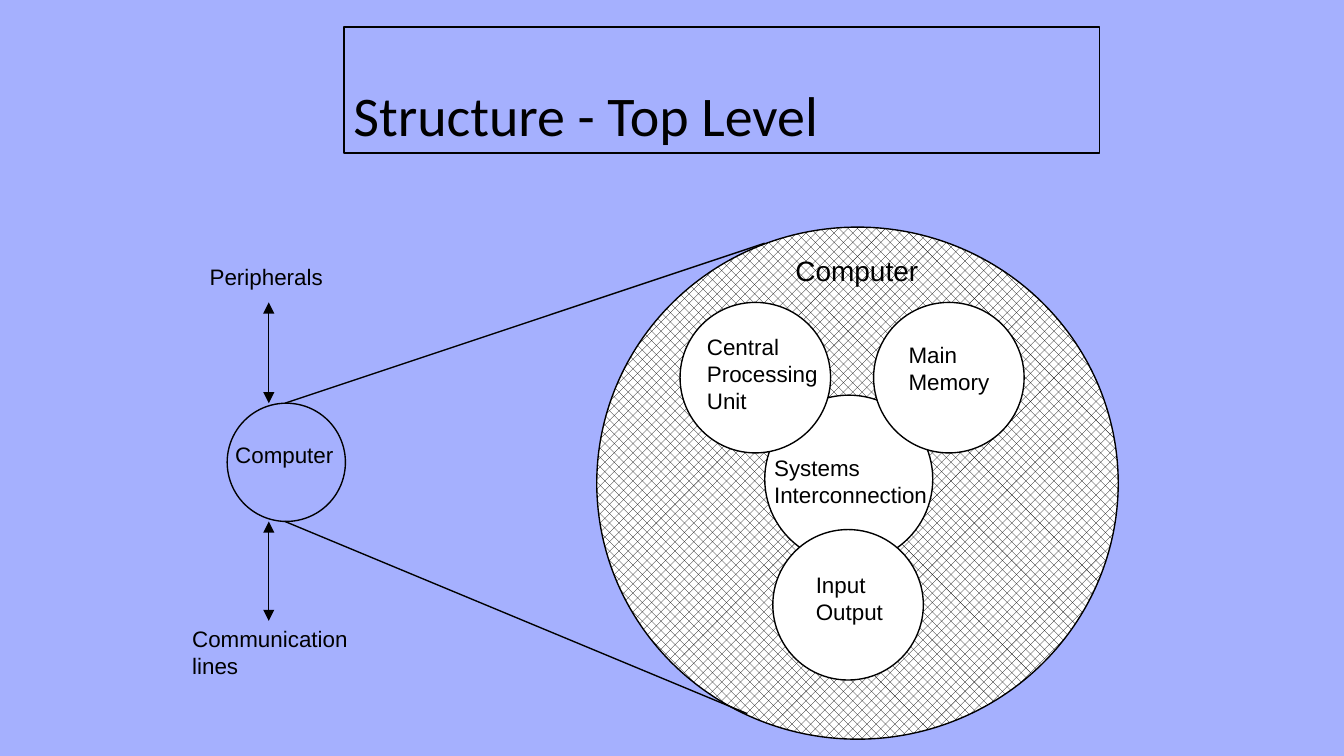
"""Build the slide showing the top-level structure of a computer."""
import pptx
import pptx.dml.color
import pptx.enum.dml
import pptx.enum.shapes
import pptx.enum.text
import pptx.oxml
import pptx.oxml.ns
import pptx.util

Inches = pptx.util.Inches
Pt = pptx.util.Pt
KIND = pptx.enum.shapes.MSO_SHAPE
ANCHOR = pptx.enum.text.MSO_ANCHOR
ALIGN = pptx.enum.text.PP_ALIGN
SIZE = pptx.enum.text.MSO_AUTO_SIZE
BLACK, WHITE = "000000", "FFFFFF"


def color(text):
    return pptx.dml.color.RGBColor.from_string(text)


def write(box, text, font, size, align, form):
    frame = box.text_frame
    base = {
        "margin_left": Inches(0.07), "margin_right": Inches(0.07),
        "margin_top": Inches(0.04), "margin_bottom": Inches(0.04),
    }
    for name, value in (base | form).items():
        setattr(frame, name, value)
    frame.text = text
    for para in frame.paragraphs:
        para.alignment = align
        for name, value in {"name": font, "size": Pt(size)}.items():
            setattr(para.font, name, value)
        para.font.color.rgb = color(BLACK)


deck = pptx.Presentation()
deck.slide_width = Inches(10)
deck.slide_height = deck.slide_width * 9 // 16
slide = deck.slides.add_slide(deck.slide_layouts[6])
slide.background.fill.solid()
slide.background.fill.fore_color.rgb = color("A5B0FE")
shapes = slide.shapes

rounds = [
    (4.44, 1.69, 3.88, 3.81, "hatch"),
    (5.69, 2.94, 1.25, 1.25, WHITE),
    (5.06, 2.25, 1.12, 1.12, WHITE),
    (1.69, 3, 0.88, 0.88, None),
    (6.5, 2.25, 1.12, 1.12, WHITE),
    (5.75, 3.94, 1.12, 1.12, WHITE),
]
for *area, paint in rounds:
    disc = shapes.add_shape(KIND.OVAL, *map(Inches, area))
    disc.shadow.inherit = False
    disc.line.color.rgb = color(BLACK)
    disc.line.width = Pt(0.75)
    if paint == "hatch":
        disc.fill.patterned()
        disc.fill.pattern = pptx.enum.dml.MSO_PATTERN.PERCENT_50
        disc.fill.fore_color.rgb = color(BLACK)
        disc.fill.back_color.rgb = color(WHITE)
    elif paint:
        disc.fill.solid()
        disc.fill.fore_color.rgb = color(paint)
    else:
        disc.fill.background()

title = shapes.add_textbox(*map(Inches, (2.56, 0.2, 5.62, 0.94)))
title.line.color.rgb = color(BLACK)
title.line.width = Pt(0.75)
write(title, "Structure - Top Level", "Calibri", 30, ALIGN.LEFT,
      {"word_wrap": True, "vertical_anchor": ANCHOR.BOTTOM})

links = [
    (2.12, 3, 5.69, 1.81, False),
    (2.12, 3.88, 5.56, 5.31, False),
    (2, 2.25, 2, 3, True),
    (2, 3.88, 2, 4.62, True),
]
for *ends, arrow in links:
    link = shapes.add_connector(
        pptx.enum.shapes.MSO_CONNECTOR.STRAIGHT, *map(Inches, ends))
    link.line.color.rgb = color(BLACK)
    link.line.width = Pt(0.75)
    props = link._element.spPr
    if arrow:
        for tag in ("a:headEnd", "a:tailEnd"):
            tip = pptx.oxml.parse_xml(
                f'<{tag} {pptx.oxml.ns.nsdecls("a")} type="triangle"/>')
            props.get_or_add_ln().append(tip)
    props.append(pptx.oxml.parse_xml(
        f'<a:effectLst {pptx.oxml.ns.nsdecls("a")}/>'))

labels = [
    (1.68, 3.24, 0.89, 0.28, "Computer", 12),
    (6.69, 2.5, 0.76, 0.48, "Main\nMemory", 12),
    (6, 4.21, 0.65, 0.48, "Input\nOutput", 12),
    (5.69, 3.34, 1.3, 0.48, "Systems\nInterconnection", 12),
    (1.49, 1.92, 1, 0.28, "Peripherals", 12),
    (1.36, 4.61, 1.31, 0.48, "Communication\nlines", 12),
    (5.19, 2.44, 1.03, 0.68, "Central\nProcessing\nUnit", 12),
    (5.84, 1.85, 1.07, 0.33, "Computer", 15),
]
for *area, text, size in labels:
    large = size > 12
    label = shapes.add_textbox(*map(Inches, area))
    write(label, text, "Arial", size, ALIGN.CENTER if large else ALIGN.LEFT, {
        "word_wrap": False, "auto_size": SIZE.SHAPE_TO_FIT_TEXT,
        "vertical_anchor": ANCHOR.MIDDLE if large else ANCHOR.TOP,
    })

deck.save("out.pptx")
